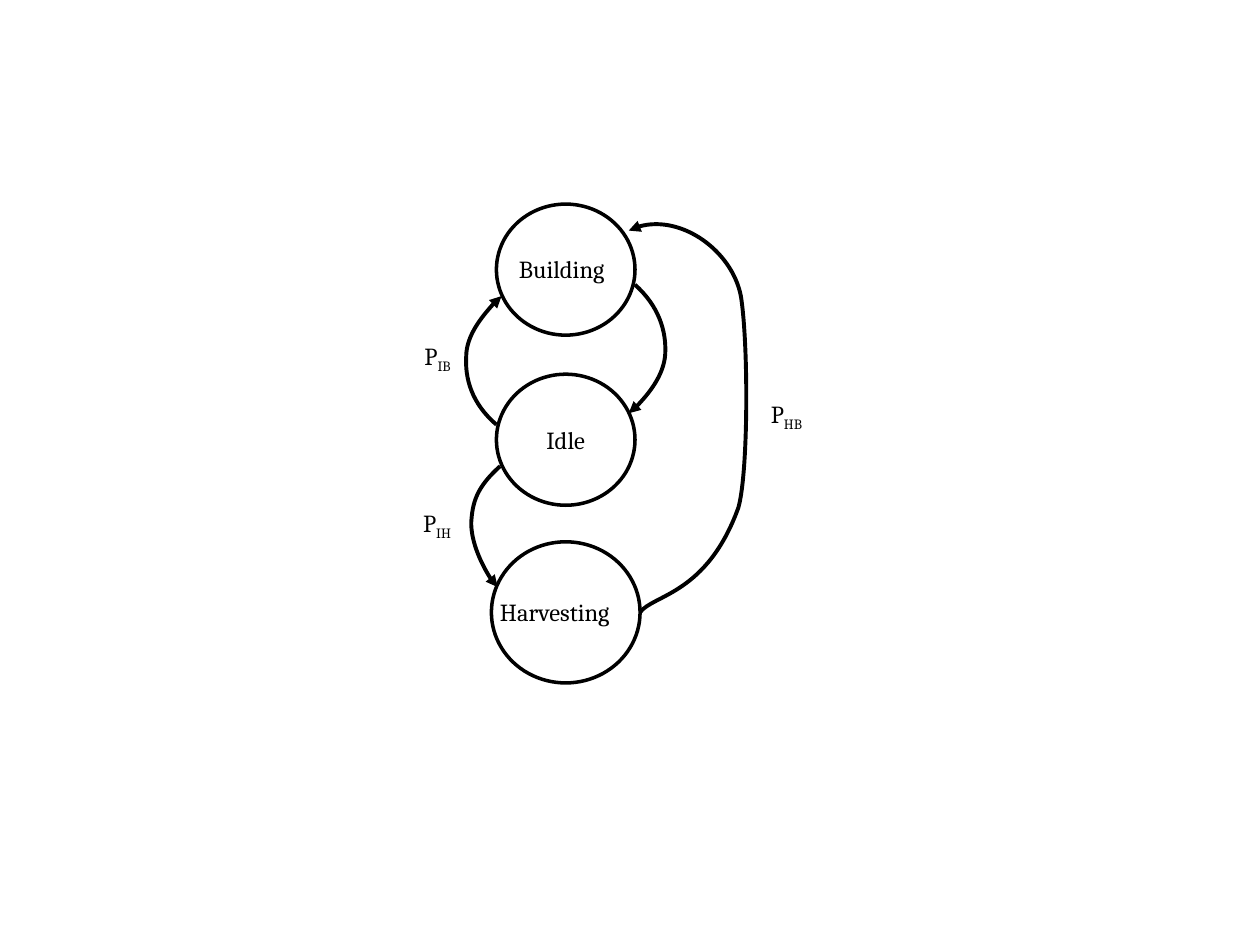
from dataclasses import dataclass

from lxml import etree
from pptx import Presentation
from pptx import util as u
from pptx.dml.color import RGBColor
from pptx.enum import shapes, text
from pptx.oxml import ns

COLORS = {"ink": "000000", "paper": "FFFFFF"}
FONT = "Cambria"
CENTER_X = 4.49


@dataclass
class State:
    top: float
    width: float
    height: float
    name: str = ""


@dataclass
class Transition:
    start: tuple[float, float]
    curve: list[tuple[float, float]]  # three points for each cubic segment


@dataclass
class Label:
    left: float
    top: float
    width: float
    name: str
    subscript: str = ""


STATES = [
    State(4.3, 1.18, 1.12),
    State(2.97, 1.1, 1.04, "Idle"),
    State(1.62, 1.1, 1.04),
]

TRANSITIONS = [
    # Building to Idle
    Transition((5.04, 2.26), [(5.23, 2.43), (5.29, 2.63), (5.28, 2.81),
                              (5.27, 2.98), (5.07, 3.23), (4.99, 3.28)]),
    # Harvesting to Building
    Transition((5.08, 4.86), [(5.18, 4.72), (5.61, 4.72), (5.86, 4.03),
                              (5.94, 3.75), (5.94, 2.72), (5.88, 2.35),
                              (5.81, 1.99), (5.34, 1.65), (4.99, 1.83)]),
    # Idle to Building
    Transition((3.94, 3.37), [(3.74, 3.2), (3.69, 3.0), (3.7, 2.83),
                              (3.7, 2.66), (3.91, 2.4), (3.98, 2.35)]),
    # Idle to Harvesting
    Transition((3.97, 3.7), [(3.78, 3.87), (3.75, 3.99), (3.74, 4.15),
                             (3.74, 4.31), (3.88, 4.61), (3.95, 4.66)]),
]

LABELS = [
    Label(3.87, 4.69, 1.23, "Harvesting"),
    Label(4.02, 1.97, 1.02, "Building"),
    Label(3.27, 2.66, 0.48, "P", "IB"),
    Label(3.26, 3.98, 0.49, "P", "IH"),
    Label(6.02, 3.12, 0.54, "P", "HB"),
]


def color(name: str) -> RGBColor:
    return RGBColor.from_string(COLORS[name])


def add_span(para, content: str, *, size: float = 14, baseline: int = 0) -> None:
    span = para.add_run()
    span.text = content
    span.font.name = FONT
    span.font.size = u.Pt(size)
    span.font.color.rgb = color("ink")
    if baseline:
        span.font._element.set("baseline", str(baseline * 1000))


def set_outline(shape, weight: float) -> None:
    shape.shadow.inherit = False
    shape.line.color.rgb = color("ink")
    shape.line.width = u.Pt(weight)


def draw_state(page, state: State) -> None:
    circle = page.shapes.add_shape(
        shapes.MSO_SHAPE.OVAL, u.Inches(CENTER_X - state.width / 2),
        u.Inches(state.top), u.Inches(state.width), u.Inches(state.height))
    circle.fill.solid()
    circle.fill.fore_color.rgb = color("paper")
    set_outline(circle, 2)
    if state.name:
        circle.text_frame.vertical_anchor = text.MSO_ANCHOR.MIDDLE
        para = circle.text_frame.paragraphs[0]
        para.alignment = text.PP_ALIGN.CENTER
        add_span(para, state.name)


def draw_transition(page, transition: Transition) -> None:
    start_x, start_y = transition.start
    builder = page.shapes.build_freeform(u.Inches(start_x), u.Inches(start_y))
    builder.add_line_segments(
        [(u.Inches(x), u.Inches(y)) for x, y in transition.curve], close=False)
    arrow = builder.convert_to_shape()
    arrow.fill.background()
    set_outline(arrow, 2.25)

    # Join each three points into one cubic segment
    lines = arrow._element.xpath(".//a:lnTo")
    for first in range(0, len(lines), 3):
        cubic = etree.Element(ns.qn("a:cubicBezTo"))
        lines[first].addprevious(cubic)
        for line in lines[first:first + 3]:
            cubic.append(line[0])
            line.getparent().remove(line)

    # Arrowhead at the end
    outline = arrow.line._get_or_add_ln()
    etree.SubElement(outline, ns.qn("a:tailEnd"), type="triangle")


def draw_label(page, label: Label) -> None:
    box = page.shapes.add_textbox(u.Inches(label.left), u.Inches(label.top),
                                  u.Inches(label.width), u.Inches(0.34))
    box.text_frame.word_wrap = False
    box.text_frame.auto_size = text.MSO_AUTO_SIZE.SHAPE_TO_FIT_TEXT
    para = box.text_frame.paragraphs[0]
    add_span(para, label.name)
    if label.subscript:
        add_span(para, label.subscript, baseline=-25)


def main() -> None:
    deck = Presentation()
    deck.slide_width, deck.slide_height = u.Inches(10), u.Inches(7.5)
    page = deck.slides.add_slide(deck.slide_layouts[6])
    for state in STATES:
        draw_state(page, state)
    for transition in TRANSITIONS:
        draw_transition(page, transition)
    for label in LABELS:
        draw_label(page, label)
    deck.save("out.pptx")


main()
